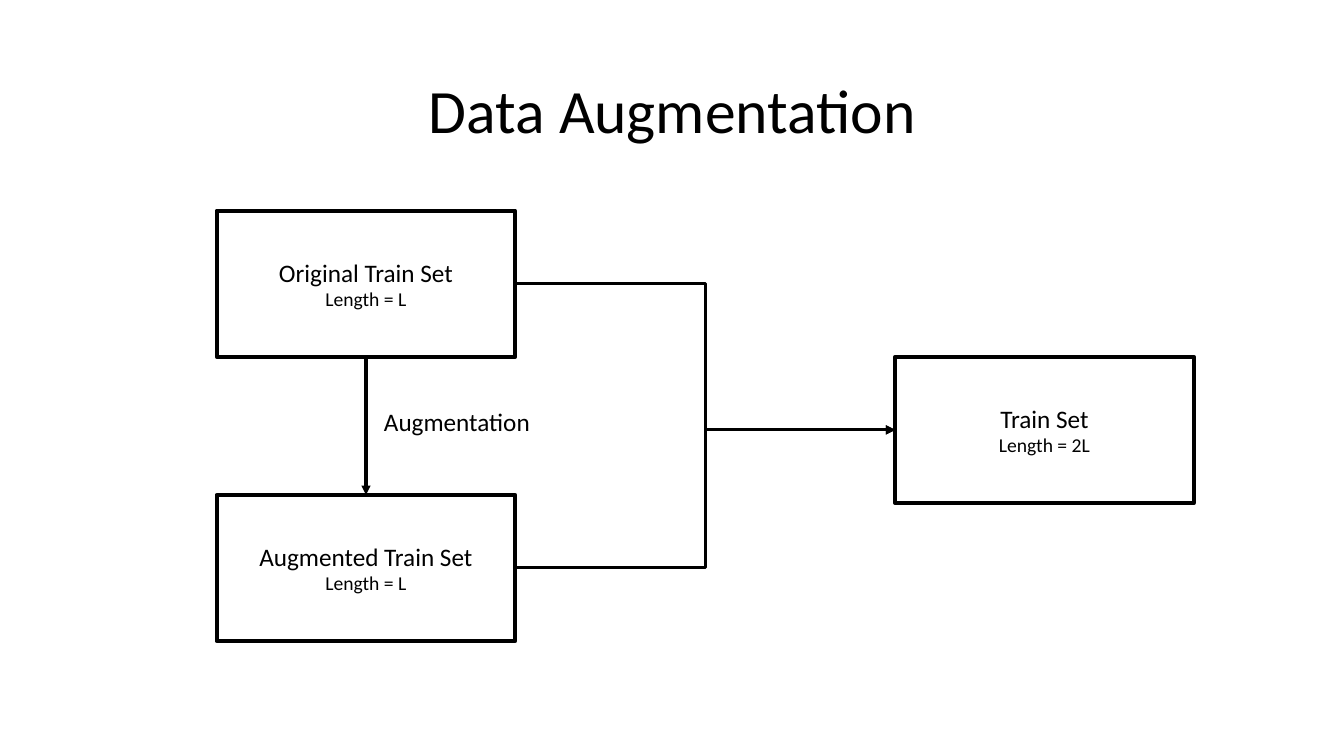
from dataclasses import dataclass

from lxml import etree
from pptx import Presentation
from pptx import util as u
from pptx.dml.color import RGBColor
from pptx.enum import shapes, text
from pptx.oxml import ns

BLACK = RGBColor(0x00, 0x00, 0x00)
FONT_NAME = "Calibri"
BOX_WIDTH, BOX_HEIGHT = 2.96, 1.45


@dataclass(frozen=True)
class DataSet:
    name: str
    length: str
    left: float
    top: float

    @property
    def left_side(self) -> tuple[float, float]:
        return self.left, self.top + BOX_HEIGHT / 2

    @property
    def right_side(self) -> tuple[float, float]:
        return self.left + BOX_WIDTH, self.top + BOX_HEIGHT / 2

    @property
    def top_side(self) -> tuple[float, float]:
        return self.left + BOX_WIDTH / 2, self.top

    @property
    def bottom_side(self) -> tuple[float, float]:
        return self.left + BOX_WIDTH / 2, self.top + BOX_HEIGHT


@dataclass(frozen=True)
class Arrow:
    kind: shapes.MSO_CONNECTOR
    start: tuple[float, float]
    end: tuple[float, float]


@dataclass(frozen=True)
class Label:
    content: str
    left: float
    top: float
    width: float
    height: float
    size: float
    anchor: text.MSO_ANCHOR
    alignment: text.PP_ALIGN
    line_spacing: float = 1.0


TRAIN = DataSet("Train Set", "Length = 2L", 8.88, 3.54)
ORIGINAL = DataSet("Original Train Set", "Length = L", 2.15, 2.09)
AUGMENTED = DataSet("Augmented Train Set", "Length = L", 2.15, 4.91)

ARROWS = [
    Arrow(shapes.MSO_CONNECTOR.STRAIGHT, ORIGINAL.bottom_side, AUGMENTED.top_side),
    Arrow(shapes.MSO_CONNECTOR.ELBOW, ORIGINAL.right_side, TRAIN.left_side),
    Arrow(shapes.MSO_CONNECTOR.ELBOW, AUGMENTED.right_side, TRAIN.left_side),
]

LABELS = [
    Label("Data Augmentation", 0.92, 0.4, 11.5, 1.45, 44,
          text.MSO_ANCHOR.MIDDLE, text.PP_ALIGN.CENTER, 0.9),
    Label("Augmentation", 3.71, 3.98, 1.66, 0.4, 18,
          text.MSO_ANCHOR.TOP, text.PP_ALIGN.LEFT),
]


def apply_format(target, values: dict) -> None:
    for name, value in values.items():
        setattr(target, name, value)


def write_paragraph(paragraph, content: str, size: float,
                    alignment: text.PP_ALIGN, line_spacing: float = 1.0) -> None:
    apply_format(paragraph, {"alignment": alignment, "line_spacing": line_spacing})
    run = paragraph.add_run()
    run.text = content
    apply_format(run.font, {"name": FONT_NAME, "size": u.Pt(size)})
    run.font.color.rgb = BLACK


def style_line(line, width: float) -> None:
    line.color.rgb = BLACK
    line.width = u.Pt(width)


def draw_data_set(slide, data_set: DataSet) -> None:
    shape = slide.shapes.add_shape(
        shapes.MSO_SHAPE.RECTANGLE, u.Inches(data_set.left), u.Inches(data_set.top),
        u.Inches(BOX_WIDTH), u.Inches(BOX_HEIGHT))
    shape.shadow.inherit = False
    shape.fill.background()
    style_line(shape.line, 3)
    frame = shape.text_frame
    apply_format(frame, {"word_wrap": True, "vertical_anchor": text.MSO_ANCHOR.MIDDLE})
    write_paragraph(frame.paragraphs[0], data_set.name, 18, text.PP_ALIGN.CENTER)
    write_paragraph(frame.add_paragraph(), data_set.length, 14, text.PP_ALIGN.CENTER)


def draw_arrow(slide, arrow: Arrow) -> None:
    ends = [u.Inches(value) for value in (*arrow.start, *arrow.end)]
    connector = slide.shapes.add_connector(arrow.kind, *ends)
    style_line(connector.line, 2.25)
    properties = connector.element.spPr
    etree.SubElement(properties.find(ns.qn("a:ln")), ns.qn("a:tailEnd"), type="triangle")
    etree.SubElement(properties, ns.qn("a:effectLst"))


def draw_label(slide, label: Label) -> None:
    shape = slide.shapes.add_textbox(
        u.Inches(label.left), u.Inches(label.top),
        u.Inches(label.width), u.Inches(label.height))
    frame = shape.text_frame
    apply_format(frame, {"word_wrap": True, "vertical_anchor": label.anchor})
    write_paragraph(frame.paragraphs[0], label.content, label.size,
                    label.alignment, label.line_spacing)


def main() -> None:
    presentation = Presentation()
    apply_format(presentation, {"slide_width": u.Inches(13.33),
                                "slide_height": u.Inches(7.5)})
    slide = presentation.slides.add_slide(presentation.slide_layouts[6])
    for data_set in (TRAIN, ORIGINAL, AUGMENTED):
        draw_data_set(slide, data_set)
    for arrow in ARROWS:
        draw_arrow(slide, arrow)
    for label in LABELS:
        draw_label(slide, label)
    presentation.save("out.pptx")


if __name__ == "__main__":
    main()
